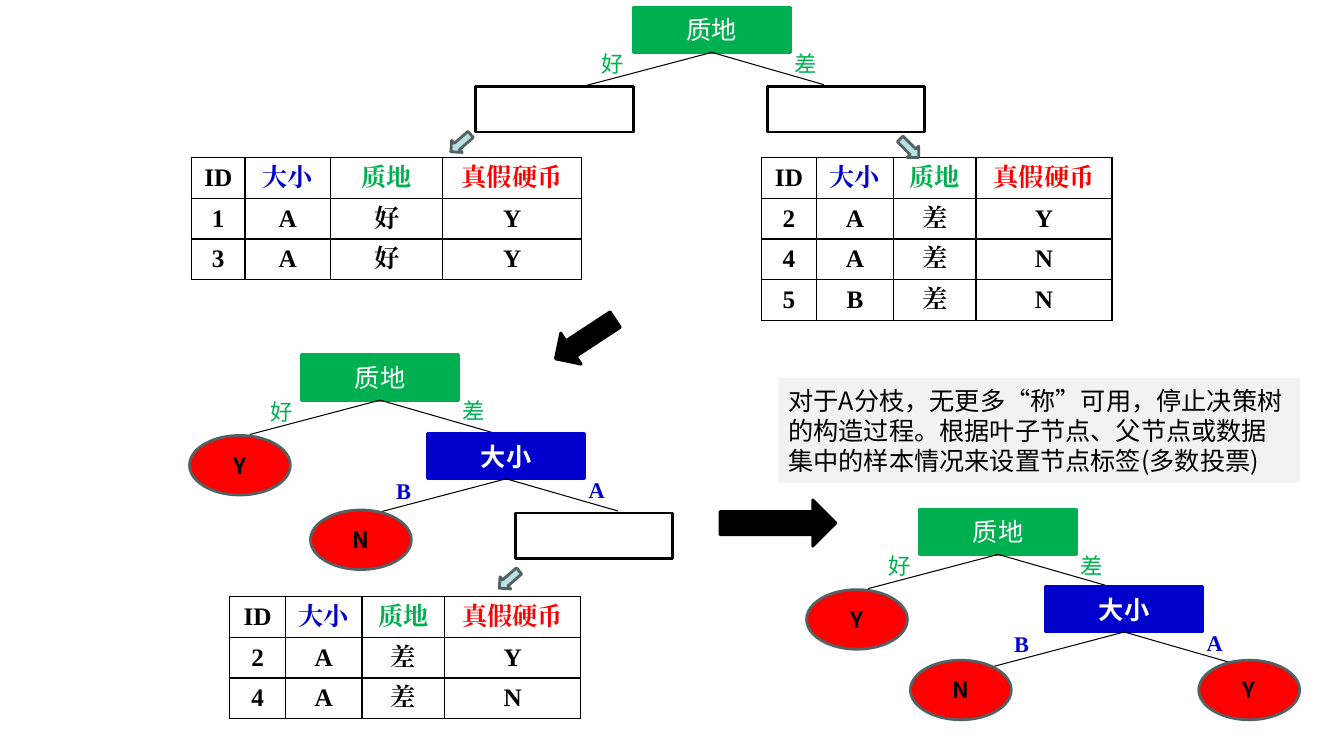
import dataclasses
import typing

import lxml.etree
import pptx
import pptx.dml.color
import pptx.enum.shapes
import pptx.enum.text
import pptx.oxml.ns
import pptx.util

RGB = pptx.dml.color.RGBColor
GREEN = RGB(0x00, 0xB0, 0x50)
BLUE = RGB(0x00, 0x00, 0xCC)
RED = RGB(0xFF, 0x00, 0x00)
BLACK = RGB(0x00, 0x00, 0x00)
WHITE = RGB(0xFF, 0xFF, 0xFF)
PALE_TEAL = RGB(0xBB, 0xE0, 0xE3)
SLATE = RGB(0x52, 0x62, 0x63)
PALE_GREY = RGB(0xF2, 0xF2, 0xF2)

SANS = "Noto Sans CJK SC"
SERIF = "Times New Roman"
SHAPES = pptx.enum.shapes.MSO_SHAPE
CENTER = pptx.enum.text.PP_ALIGN.CENTER
LEFT = pptx.enum.text.PP_ALIGN.LEFT
MIDDLE = pptx.enum.text.MSO_ANCHOR.MIDDLE

COLUMNS, ROWS = 133.3, 75
NODE_WIDTH, NODE_HEIGHT = 15.6, 4.5
LEAF_WIDTH, LEAF_HEIGHT = 10, 5.9

presentation = pptx.Presentation()
presentation.slide_width = pptx.util.Inches(13.33)
presentation.slide_height = pptx.util.Inches(7.5)
slide = presentation.slides.add_slide(presentation.slide_layouts[6])


@dataclasses.dataclass(frozen=True)
class TextStyle:
    color: RGB
    size: int = 18
    face: str = SANS
    bold: bool = False
    align: typing.Any = CENTER


@dataclasses.dataclass(frozen=True)
class Block:
    preset: typing.Any
    column: float
    row: float
    width: float
    height: float
    fill: RGB
    outline: typing.Optional[RGB]
    rotation: float = 0
    words: str = ""
    style: TextStyle = TextStyle(BLACK)


@dataclasses.dataclass(frozen=True)
class Split:
    attribute: str
    column: float
    row: float
    color: RGB
    left_value: str
    right_value: str
    node_bold: bool
    value_style: TextStyle


@dataclasses.dataclass(frozen=True)
class CoinTable:
    column: float
    row: float
    widths: tuple[float, ...]
    coins: tuple[str, ...]


def across(columns: float) -> int:
    return round(presentation.slide_width * columns / COLUMNS)


def down(rows: float) -> int:
    return round(presentation.slide_height * rows / ROWS)


def area(column: float, row: float, width: float, height: float) -> tuple[int, ...]:
    return across(column), down(row), across(width), down(height)


def write(frame: typing.Any, words: str, style: TextStyle) -> None:
    paragraph = frame.paragraphs[0]
    paragraph.alignment = style.align
    run = paragraph.add_run()
    run.text = words
    run.font.name = style.face
    run.font.size = pptx.util.Pt(style.size)
    run.font.bold = style.bold
    run.font.color.rgb = style.color
    east_asian = lxml.etree.SubElement(run.font._element, pptx.oxml.ns.qn("a:ea"))
    east_asian.set("typeface", style.face)


def draw_block(block: Block) -> None:
    shape = slide.shapes.add_shape(
        block.preset, *area(block.column, block.row, block.width, block.height))
    shape.shadow.inherit = False
    shape.rotation = block.rotation
    shape.fill.solid()
    shape.fill.fore_color.rgb = block.fill
    if block.outline is None:
        shape.line.fill.background()
    else:
        shape.line.color.rgb = block.outline
        shape.line.width = pptx.util.Pt(2)
    if block.words:
        shape.text_frame.word_wrap = True
        shape.text_frame.vertical_anchor = MIDDLE
        write(shape.text_frame, block.words, block.style)


def draw_branch(column: float, row: float, end_column: float, end_row: float) -> None:
    branch = slide.shapes.add_connector(
        pptx.enum.shapes.MSO_CONNECTOR.STRAIGHT,
        across(column), down(row), across(end_column), down(end_row))
    branch.line.color.rgb = BLACK
    branch.line.width = pptx.util.Pt(0.75)
    lxml.etree.SubElement(branch._element.spPr, pptx.oxml.ns.qn("a:effectLst"))


def draw_value(words: str, column: float, row: float, style: TextStyle) -> None:
    value = slide.shapes.add_textbox(*area(column, row, 4.9, 3.7))
    value.text_frame.word_wrap = True
    write(value.text_frame, words, style)


def draw_split(split: Split) -> None:
    column, row = split.column, split.row
    draw_block(Block(SHAPES.RECTANGLE, column, row, NODE_WIDTH, NODE_HEIGHT,
                     split.color, split.color, words=split.attribute,
                     style=TextStyle(WHITE, bold=split.node_bold)))
    fork = column + NODE_WIDTH / 2, row + NODE_HEIGHT
    draw_branch(*fork, column + 18.9, row + 7.7)
    draw_branch(*fork, column - 5.1, row + 7.9)
    draw_value(split.right_value, column + 15, row + 3.75, split.value_style)
    draw_value(split.left_value, column - 4.1, row + 3.8, split.value_style)


def border_cell(cell: typing.Any) -> None:
    properties = cell._tc.get_or_add_tcPr()
    for side in ("lnL", "lnR", "lnT", "lnB"):
        edge = lxml.etree.SubElement(properties, pptx.oxml.ns.qn(f"a:{side}"), w="12700")
        solid = lxml.etree.SubElement(edge, pptx.oxml.ns.qn("a:solidFill"))
        lxml.etree.SubElement(solid, pptx.oxml.ns.qn("a:srgbClr"), val=str(BLACK))


def draw_coins(coins: CoinTable) -> None:
    records = [HEADINGS, *(record.split() for record in coins.coins)]
    row_height = 4.03
    grid = slide.shapes.add_table(
        len(records), len(HEADINGS),
        *area(coins.column, coins.row, sum(coins.widths), row_height * len(records))).table
    grid.first_row = grid.horz_banding = False
    for column, width in zip(grid.columns, coins.widths):
        column.width = across(width)
    for r, record in enumerate(records):
        grid.rows[r].height = down(row_height)
        for c, words in enumerate(record):
            cell = grid.cell(r, c)
            border_cell(cell)
            cell.fill.background()
            cell.vertical_anchor = MIDDLE
            color = HEADING_COLORS[c] if r == 0 else BLACK
            write(cell.text_frame, words, TextStyle(color, face=SERIF, bold=True))


def open_node(column: float, row: float) -> Block:
    return Block(SHAPES.RECTANGLE, column, row, NODE_WIDTH, NODE_HEIGHT, WHITE, BLACK)


def leaf(label: str, column: float, row: float) -> Block:
    return Block(SHAPES.OVAL, column, row, LEAF_WIDTH, LEAF_HEIGHT, RED, SLATE,
                 words=label, style=TextStyle(BLACK, 16, bold=True))


def data_arrow(column: float, row: float, rotation: float) -> Block:
    return Block(SHAPES.DOWN_ARROW, column, row, 1.6, 2.6, PALE_TEAL, SLATE, rotation)


def texture_split(column: float, row: float) -> Split:
    return Split("质地", column, row, GREEN, "好", "差", False, TextStyle(GREEN, 16, align=LEFT))


def size_split(column: float, row: float) -> Split:
    return Split("大小", column, row, BLUE, "B", "A", True,
                 TextStyle(BLUE, 16, SERIF, True, LEFT))


HEADINGS = ("ID", "大小", "质地", "真假硬币")
HEADING_COLORS = (BLACK, BLUE, GREEN, RED)
POOR_WIDTHS = (5.5, 7.6, 8.2, 13.5)
NOTE = ("对于A分枝，无更多“称”可用，停止决策树的构造过程。"
        "根据叶子节点、父节点或数据集中的样本情况来设置节点标签(多数投票)")

SPLITS = (texture_split(62.8, 0.7), texture_split(29.9, 35.2), size_split(42.4, 43),
          texture_split(91.2, 50.5), size_split(103.7, 58.2))
TABLES = (
    CoinTable(19, 15.65, (5.3, 8.5, 11.1, 13.8), ("1 A 好 Y", "3 A 好 Y")),
    CoinTable(75.5, 15.65, POOR_WIDTHS, ("2 A 差 Y", "4 A 差 N", "5 B 差 N")),
    CoinTable(22.8, 59.2, POOR_WIDTHS, ("2 A 差 Y", "4 A 差 N")),
)
BLOCKS = (
    open_node(47.2, 8.6), open_node(76.1, 8.6), open_node(51.1, 50.9),
    data_arrow(44.9, 12.9, 48.9), data_arrow(89.4, 13.4, 315.2), data_arrow(49.7, 56.2, 48.9),
    leaf("Y", 18.8, 43.2), leaf("N", 30.8, 50.6),
    leaf("Y", 80, 58.5), leaf("Y", 118.9, 65.5), leaf("N", 90.3, 65.5),
    Block(SHAPES.RIGHT_ARROW, 71.4, 49.6, 11.5, 4.6, BLACK, BLACK),
    Block(SHAPES.RIGHT_ARROW, 54.5, 31.8, 7.1, 3.7, BLACK, BLACK, 146.7),
    Block(SHAPES.RECTANGLE, 77.2, 37.5, 51.7, 10.4, PALE_GREY, None,
          words=NOTE, style=TextStyle(BLACK, align=LEFT)),
)

for split in SPLITS:
    draw_split(split)
for coins in TABLES:
    draw_coins(coins)
for block in BLOCKS:
    draw_block(block)

presentation.save("out.pptx")
